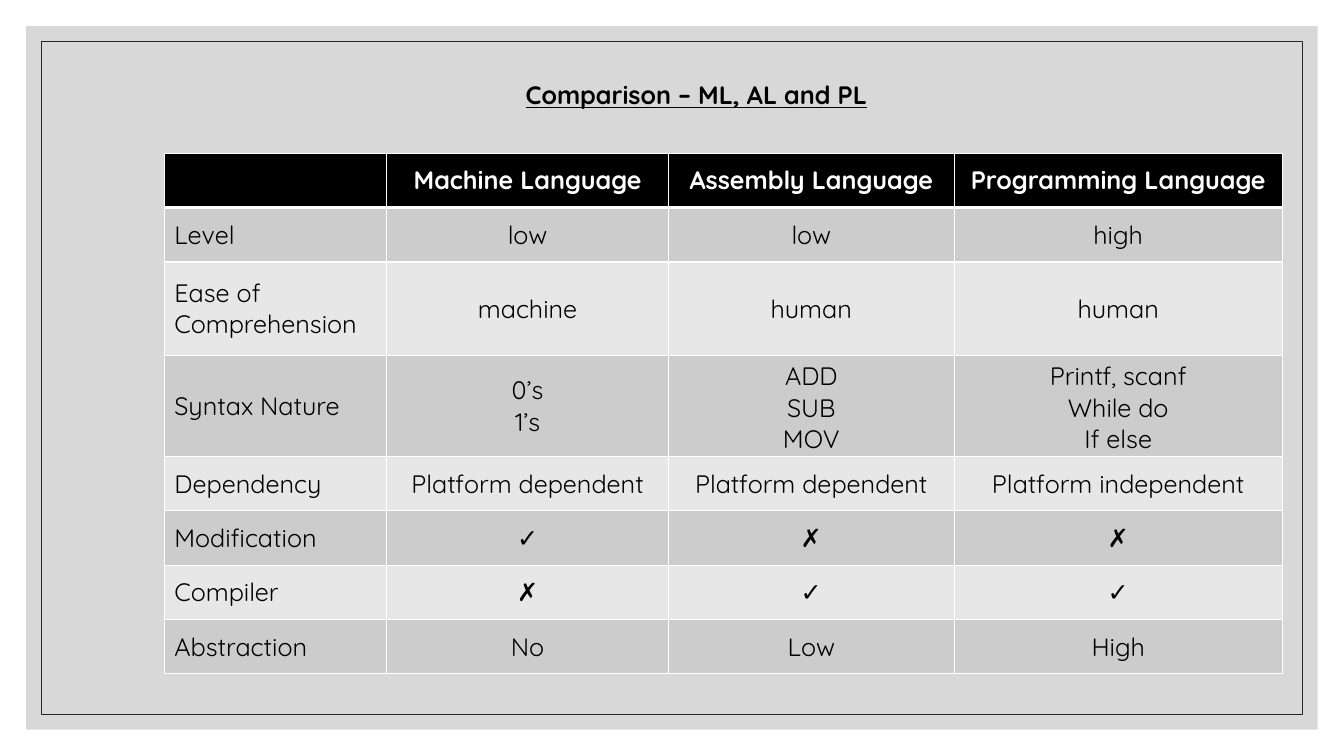
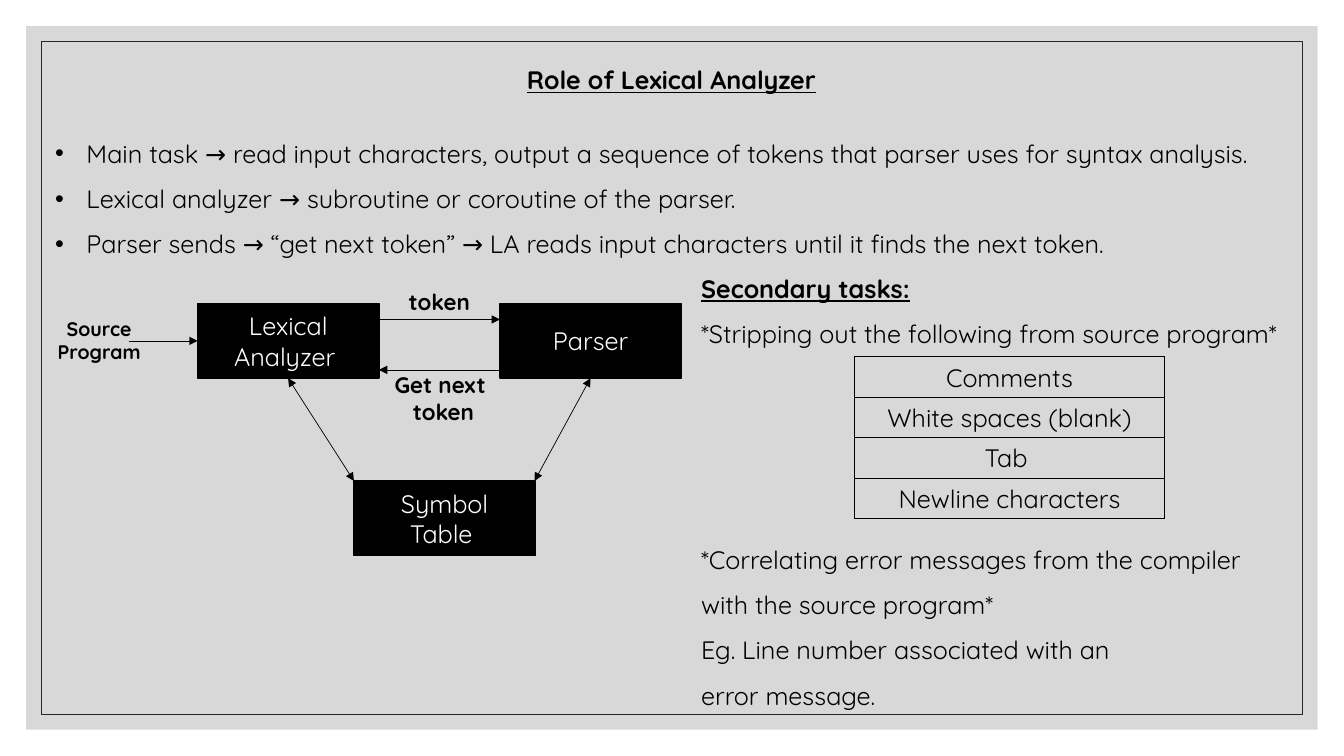
"""Build two slides on language levels and the role of a lexical analyzer."""
from lxml import etree
from pptx import Presentation, dml, util as u
from pptx.dml import color
from pptx.enum import shapes, text
from pptx.oxml import ns

FONT = "Quicksand"
BLACK, WHITE = "000000", "FFFFFF"
LEFT, CENTER = text.PP_ALIGN.LEFT, text.PP_ALIGN.CENTER
MIDDLE, TOP = text.MSO_ANCHOR.MIDDLE, text.MSO_ANCHOR.TOP
rgb = color.RGBColor.from_string


def write(frame, lines, size=18, ink=BLACK, bold=False, underline=False, align=LEFT, spacing=None):
    for number, line in enumerate(lines):
        paragraph = frame.paragraphs[0] if number == 0 else frame.add_paragraph()
        paragraph.alignment = align
        if spacing:
            paragraph.line_spacing = spacing
        run = paragraph.add_run()
        run.text = line
        run.font.name = FONT
        run.font.size = u.Pt(size)
        run.font.bold = bold
        run.font.underline = underline
        run.font.color.rgb = rgb(ink)


def add_grid(slide, left, top, widths, heights, border):
    grid = slide.shapes.add_table(len(heights), len(widths), u.Cm(left), u.Cm(top),
                                  u.Cm(sum(widths)), u.Cm(sum(heights))).table
    grid.first_row = grid.horz_banding = False
    for column, width in zip(grid.columns, widths):
        column.width = u.Cm(width)
    for row, height in zip(grid.rows, heights):
        row.height = u.Cm(height)
    for cell in grid.iter_cells():
        for side in ("a:lnL", "a:lnR", "a:lnT", "a:lnB"):
            edge = etree.SubElement(cell._tc.get_or_add_tcPr(), ns.qn(side), w=str(u.Pt(1)))
            paint = etree.SubElement(edge, ns.qn("a:solidFill"))
            etree.SubElement(paint, ns.qn("a:srgbClr"), val=border)
    return grid


deck = Presentation()
deck.slide_width, deck.slide_height = u.Cm(33.87), u.Cm(19.05)

titles = [
    ("Comparison – ML, AL and PL", 13, 1.88, 9.3),
    ("Role of Lexical Analyzer", 13.03, 1.5, 7.9),
]
for title, left, top, width in titles:
    slide = deck.slides.add_slide(deck.slide_layouts[6])
    for inset in (0.66, 1.04):
        panel = slide.shapes.add_shape(
            shapes.MSO_SHAPE.RECTANGLE, u.Cm(inset), u.Cm(inset),
            deck.slide_width - u.Cm(2 * inset), deck.slide_height - u.Cm(2 * inset))
        panel.shadow.inherit = False
        if inset < 1:
            panel.fill.solid()
            panel.fill.fore_color.rgb = rgb("BFBFBF")
            tint = panel._element.spPr.find(".//" + ns.qn("a:srgbClr"))
            etree.SubElement(tint, ns.qn("a:alpha"), val="60000")
            panel.line.fill.background()
        else:
            panel.fill.background()
            panel.line.color.rgb = rgb("262626")
            panel.line.width = u.Pt(0.5)
    heading = slide.shapes.add_textbox(u.Cm(left), u.Cm(top), u.Cm(width), u.Cm(1.02))
    heading.text_frame.word_wrap = False
    write(heading.text_frame, [title], bold=True, underline=True)

comparison_slide, analyzer_slide = deck.slides

comparison = [
    ["", "Machine Language", "Assembly Language", "Programming Language"],
    ["Level", "low", "low", "high"],
    ["Ease of Comprehension", "machine", "human", "human"],
    ["Syntax Nature", "0’s\n1’s", "ADD\nSUB\nMOV", "Printf, scanf\nWhile do\nIf else"],
    ["Dependency", "Platform dependent", "Platform dependent", "Platform independent"],
    ["Modification", "✓", "✗", "✗"],
    ["Compiler", "✗", "✓", "✓"],
    ["Abstraction", "No", "Low", "High"],
]
heights = [1.37, 1.37, 2.36, 2.54] + [1.37] * 4
languages = add_grid(comparison_slide, 4.14, 3.86, [5.61, 7.09, 7.21, 8.26], heights, WHITE)
for r, entries in enumerate(comparison):
    for c, entry in enumerate(entries):
        cell = languages.cell(r, c)
        cell.vertical_anchor = MIDDLE
        cell.fill.solid()
        cell.fill.fore_color.rgb = rgb(BLACK if r == 0 else "CCCCCC" if r % 2 else "E7E7E7")
        if r < 2:
            rule = cell._tc.tcPr.find(ns.qn("a:lnT" if r else "a:lnB"))
            rule.set("w", str(u.Pt(3)))
        if entry:
            write(cell.text_frame, entry.split("\n"), ink=BLACK if r else WHITE,
                  bold=r == 0, align=CENTER if c else LEFT)

tasks = analyzer_slide.shapes.add_textbox(u.Cm(1.14), u.Cm(2.97), u.Cm(32.05), u.Cm(3.58)).text_frame
tasks.word_wrap = True
write(tasks, [
    "Main task → read input characters, output a sequence of tokens that parser uses for syntax analysis.",
    "Lexical analyzer → subroutine or coroutine of the parser.",
    "Parser sends → “get next token” → LA reads input characters until it finds the next token.",
], spacing=1.5)
for paragraph in tasks.paragraphs:
    props = paragraph._p.get_or_add_pPr()
    props.set("marL", str(u.Cm(0.79)))
    props.set("indent", str(-u.Cm(0.79)))
    etree.SubElement(props, ns.qn("a:buFont"), typeface="Arial")
    etree.SubElement(props, ns.qn("a:buChar"), char="•")

stages = [
    (["Lexical", "Analyzer "], 4.98, 7.65),
    (["Symbol", "Table "], 8.92, 12.12),
    (["Parser"], 12.6, 7.65),
]
for lines, left, top in stages:
    stage = analyzer_slide.shapes.add_shape(
        shapes.MSO_SHAPE.RECTANGLE, u.Cm(left), u.Cm(top), u.Cm(4.57), u.Cm(1.88))
    stage.shadow.inherit = False
    stage.fill.solid()
    stage.fill.fore_color.rgb = stage.line.color.rgb = rgb(BLACK)
    stage.line.width = u.Pt(1)
    stage.text_frame.vertical_anchor = MIDDLE
    write(stage.text_frame, lines, ink=WHITE, align=CENTER)

flows = [
    (3.25, 8.59, 4.98, 8.59, False),
    (9.55, 8.05, 12.6, 8.05, False),
    (12.6, 9.32, 9.55, 9.32, False),
    (14.88, 9.53, 13.47, 12.12, True),
    (7.26, 9.53, 8.92, 12.12, True),
]
for x1, y1, x2, y2, two_way in flows:
    flow = analyzer_slide.shapes.add_connector(
        shapes.MSO_CONNECTOR.STRAIGHT, u.Cm(x1), u.Cm(y1), u.Cm(x2), u.Cm(y2))
    flow.line.color.rgb = rgb(BLACK)
    flow.line.width = u.Pt(0.5)
    stroke = flow.line._get_or_add_ln()
    for end in ("a:headEnd", "a:tailEnd") if two_way else ("a:tailEnd",):
        etree.SubElement(stroke, ns.qn(end), type="triangle")
    etree.SubElement(flow._element.spPr, ns.qn("a:effectLst"))

labels = [
    (["Source", "Program "], 14, 1.14, 7.85, 2.72, 1.45),
    (["token"], 16, 10.03, 7.14, 2.08, 0.94),
    (["Get next ", "token"], 16, 9.65, 9.22, 3.05, 1.62),
]
for lines, size, left, top, width, height in labels:
    label = analyzer_slide.shapes.add_textbox(u.Cm(left), u.Cm(top), u.Cm(width), u.Cm(height))
    label.text_frame.word_wrap = False
    write(label.text_frame, lines, size=size, bold=True, align=CENTER)

secondary = analyzer_slide.shapes.add_textbox(
    u.Cm(17.42), u.Cm(6.38), u.Cm(15.85), u.Cm(12.8)).text_frame
secondary.word_wrap = False
write(secondary, [
    "Secondary tasks:",
    "*Stripping out the following from source program*",
    "*Correlating error messages from the compiler",
    "with the source program*",
    "Eg. Line number associated with an",
    "error message.",
], spacing=1.5)
secondary_heading = secondary.paragraphs[0].runs[0].font
secondary_heading.bold = secondary_heading.underline = True
secondary.paragraphs[2].space_before = u.Pt(128.5)

stripped = ["Comments", "White spaces (blank)", "Tab ", "Newline characters"]
stripped_grid = add_grid(analyzer_slide, 21.54, 8.99, [7.8], [1.02] * len(stripped), BLACK)
for cell, item in zip(stripped_grid.iter_cells(), stripped):
    cell.fill.background()
    cell.vertical_anchor = TOP
    write(cell.text_frame, [item], align=CENTER)

deck.save("out.pptx")
